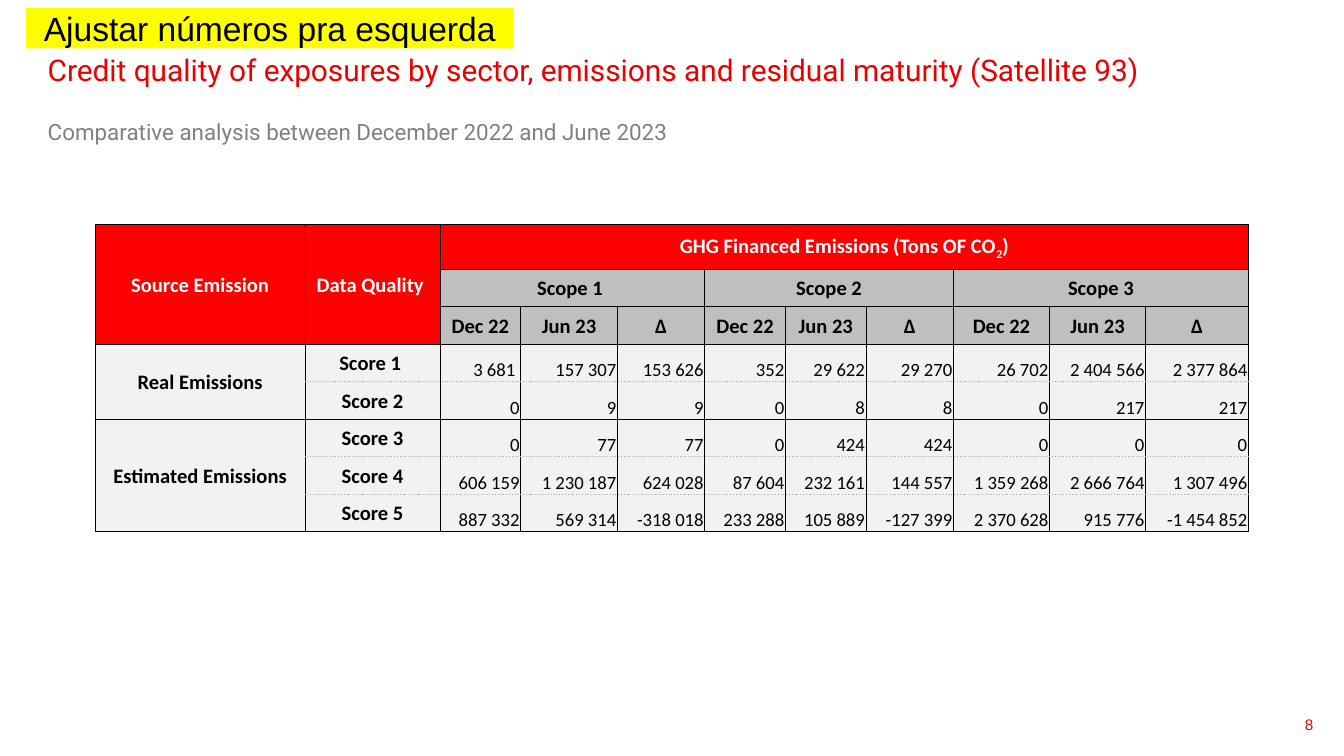
"""Build the slide on financed emissions by source and data quality."""

from lxml.etree import SubElement
from pptx import Presentation
from pptx.dml.color import RGBColor
from pptx.enum.shapes import MSO_SHAPE
from pptx.enum.text import MSO_ANCHOR, MSO_AUTO_SIZE, PP_ALIGN
from pptx.oxml.ns import qn
from pptx.util import Inches, Pt

COLORS = {
    "red": "EB0000", "gray": "808080", "black": "000000", "white": "FFFFFF",
    "header": "FF0000", "scope": "BFBFBF", "body": "F2F2F2",
    "dotted": "A6A6A6", "note": "FFFF00",
}
TITLE = "Credit quality of exposures by sector, emissions and residual maturity (Satellite 93)"
SUBTITLE = "Comparative analysis between December 2022 and June 2023"
COL_WIDTHS = [15.6, 10.05, 6, 7.2, 6.5, 6, 6, 6.5, 7.15, 7.15, 7.65]
ROW_HEIGHTS = [3.35] + [2.79] * 7
HEADERS = {
    (0, 0): "Source Emission", (0, 1): "Data Quality ",
    (0, 2): "GHG Financed Emissions (Tons OF CO",
    (1, 2): "Scope 1 ", (1, 5): "Scope 2", (1, 8): "Scope 3",
    (3, 0): "Real Emissions", (5, 0): "Estimated Emissions",
}
PERIODS = ["Dec 22", "Jun 23", "∆"] * 3
SCORES = [
    ["Score 1 ", "3 681 ", "157 307", "153 626", "352", "29 622", "29 270",
     "26 702", "2 404 566", "2 377 864"],
    ["Score 2", "0", "9", "9", "0", "8", "8", "0", "217", "217"],
    ["Score 3", "0", "77", "77", "0", "424", "424", "0", "0", "0"],
    ["Score 4", "606 159", "1 230 187", "624 028", "87 604", "232 161", "144 557",
     "1 359 268", "2 666 764", "1 307 496"],
    ["Score 5", "887 332", "569 314", "-318 018", "233 288", "105 889", "-127 399",
     "2 370 628", "915 776", "-1 454 852"],
]
MERGES = [
    (0, 0, 2, 0), (0, 1, 2, 1), (0, 2, 0, 10), (1, 2, 1, 4), (1, 5, 1, 7),
    (1, 8, 1, 10), (3, 0, 4, 0), (5, 0, 7, 0),
]
GROUP_TOPS, GROUP_BOTTOMS = (3, 5), (4, 7)


class Deck:
    """Hold the style and the current slide on a grid of 100 columns."""

    def __init__(self, prs):
        """Add a title-only slide and work out the grid unit."""
        self.unit = prs.slide_width / 100
        self.s = prs.slides.add_slide(prs.slide_layouts[5])

    def grid(self, *cells):
        """Turn grid units into lengths."""
        return [round(c * self.unit) for c in cells]

    def color(self, name):
        """Look up a colour by name."""
        return RGBColor.from_string(COLORS[name])

    def style(self, p, size, font, color, align=PP_ALIGN.LEFT, bold=False):
        """Format one paragraph."""
        p.alignment = align
        p.font.size, p.font.name, p.font.bold = Pt(size), font, bold
        p.font.color.rgb = self.color(color)

    def title(self, box, title, subtitle):
        """Place the title with its subtitle below."""
        sp = self.s.shapes.title
        sp.left, sp.top, sp.width, sp.height = self.grid(*box)
        tf = sp.text_frame
        tf.margin_left = tf.margin_top = tf.margin_right = tf.margin_bottom = 0
        tf.vertical_anchor, tf.auto_size = MSO_ANCHOR.TOP, MSO_AUTO_SIZE.NONE
        tf.word_wrap = True
        p = tf.paragraphs[0]
        p.text = title
        self.style(p, 16, "Roboto", "red")
        p = tf.add_paragraph()
        p.text = subtitle
        p.space_before = Pt(16.4)
        self.style(p, 12, "Roboto", "gray")

    def page_number(self, box, text):
        """Place the page number."""
        tf = self.s.shapes.add_textbox(*self.grid(*box)).text_frame
        tf.word_wrap = True
        tf.text = text
        self.style(tf.paragraphs[0], 8.2, "Arial", "red", PP_ALIGN.RIGHT)

    def note(self, box, text):
        """Draw a highlighted note."""
        sp = self.s.shapes.add_shape(MSO_SHAPE.RECTANGLE, *self.grid(*box))
        sp.shadow.inherit = False
        sp.fill.solid()
        sp.fill.fore_color.rgb = self.color("note")
        sp.line.fill.background()
        tf = sp.text_frame
        tf.vertical_anchor, tf.word_wrap = MSO_ANCHOR.MIDDLE, True
        tf.text = text
        self.style(tf.paragraphs[0], 18, "Arial", "black", PP_ALIGN.CENTER)

    def borders(self, cell, dotted):
        """Draw a cell's borders, dotted on the named sides."""
        tc_pr = cell._tc.get_or_add_tcPr()
        for side in "LRTB":
            ln = SubElement(tc_pr, qn(f"a:ln{side}"), w=str(Pt(0.5)))
            fill = SubElement(ln, qn("a:solidFill"))
            name = "dotted" if side in dotted else "black"
            SubElement(fill, qn("a:srgbClr"), val=COLORS[name])
            SubElement(ln, qn("a:prstDash"), val="sysDot" if side in dotted else "solid")

    def cell(self, cell, text, fill, number=False, dotted=""):
        """Fill and format one table cell."""
        cell.margin_left = cell.margin_top = cell.margin_right = Inches(0.01)
        cell.margin_bottom = 0
        cell.vertical_anchor = MSO_ANCHOR.BOTTOM if number else MSO_ANCHOR.MIDDLE
        self.borders(cell, dotted)
        cell.fill.solid()
        cell.fill.fore_color.rgb = self.color(fill)
        p = cell.text_frame.paragraphs[0]
        if text:
            p.text = text
        self.style(p, 10 if number else 11, "Calibri",
                   "white" if fill == "header" else "black",
                   PP_ALIGN.RIGHT if number else PP_ALIGN.CENTER, not number)

    def table(self, left, top, texts):
        """Build the emissions table from a dict of cell texts."""
        box = self.grid(left, top, sum(COL_WIDTHS), sum(ROW_HEIGHTS))
        table = self.s.shapes.add_table(len(ROW_HEIGHTS), len(COL_WIDTHS), *box).table
        table.first_row = table.horz_banding = False
        for col, width in zip(table.columns, self.grid(*COL_WIDTHS)):
            col.width = width
        for row, height in zip(table.rows, self.grid(*ROW_HEIGHTS)):
            row.height = height
        for r in range(len(ROW_HEIGHTS)):
            for c in range(len(COL_WIDTHS)):
                body = r > 2
                fill = "body" if body else "header" if r == 0 or c < 2 else "scope"
                dotted = ""
                if body and c:
                    dotted += "" if r in GROUP_TOPS else "T"
                    dotted += "" if r in GROUP_BOTTOMS else "B"
                self.cell(table.cell(r, c), texts.get((r, c), ""), fill,
                          body and c > 1, dotted)
        for top_row, first, bottom_row, last in MERGES:
            table.cell(top_row, first).merge(table.cell(bottom_row, last))
        p = table.cell(0, 2).text_frame.paragraphs[0]
        for text, baseline in (("2", "-25000"), (")", "0")):
            r = p.add_run()
            r.text = text
            r._r.get_or_add_rPr().set("baseline", baseline)


def main():
    """Build and save the slide."""
    prs = Presentation()
    prs.slide_width = Inches(10)
    prs.slide_height = prs.slide_width * 9 // 16
    deck = Deck(prs)
    deck.page_number((76.2, 52.7, 22.5, 3), "8")
    deck.title((3.55, 3.85, 92.9, 7.1), TITLE, SUBTITLE)
    texts = dict(HEADERS)
    texts.update({(2, c): text for c, text in enumerate(PERIODS, 2)})
    texts.update({(r, c): text for r, row in enumerate(SCORES, 3)
                  for c, text in enumerate(row, 1)})
    deck.table(7.1, 16.7, texts)
    deck.note((1.95, 0.6, 36.25, 3), "Ajustar números pra esquerda ")
    prs.save("out.pptx")


if __name__ == "__main__":
    main()
